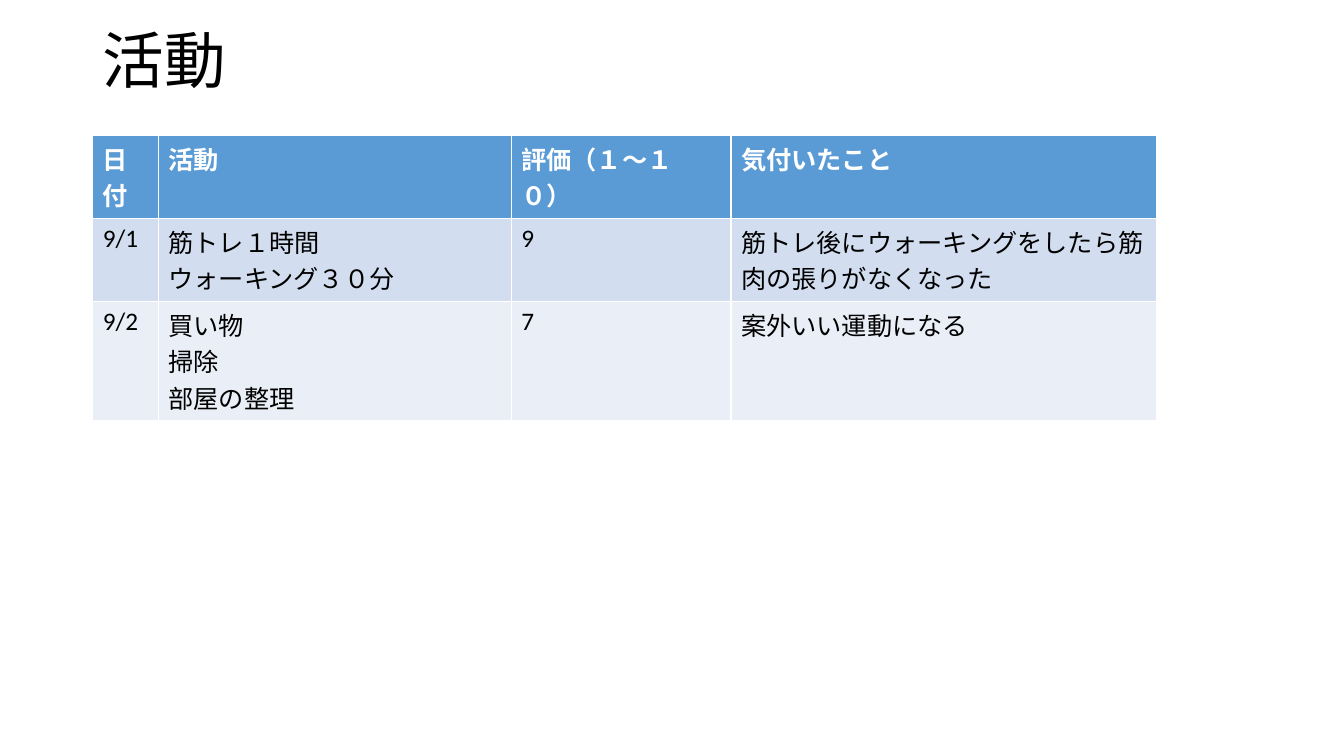
from dataclasses import dataclass

from pptx import Presentation
from pptx.dml.color import RGBColor
from pptx.enum.text import MSO_ANCHOR, MSO_AUTO_SIZE, PP_ALIGN
from pptx.slide import Slide
from pptx.table import _Cell
from pptx.text.text import _Paragraph
from pptx.util import Inches, Pt

COLORS = {
    "header": "5B9BD5",
    "odd_row": "D2DEEF",
    "even_row": "EAEFF7",
    "light_text": "FFFFFF",
    "dark_text": "000000",
}
COLUMN_WIDTHS = (0.65, 3.5, 2.18, 4.22)
LEFT = 0.92


@dataclass(frozen=True)
class ActivityRow:
    texts: tuple[str, ...]
    height: float
    fill: str
    text_color: str = "dark_text"
    bold: bool = False


ROWS = (
    ActivityRow(("日付", "活動", "評価（１～１０）", "気付いたこと"), 0.47, "header", "light_text", True),
    ActivityRow(
        ("9/1", "筋トレ１時間\nウォーキング３０分", "9", "筋トレ後にウォーキングをしたら筋肉の張りがなくなった"),
        0.42,
        "odd_row",
    ),
    ActivityRow(("9/2", "買い物\n掃除\n部屋の整理", "7", "案外いい運動になる"), 1, "even_row"),
)


def set_attributes(target: object, values: dict[str, object]) -> None:
    for name, value in values.items():
        setattr(target, name, value)


def format_paragraph(paragraph: _Paragraph, size: float, color: str, bold: bool) -> None:
    for run in paragraph.runs:
        set_attributes(run.font, {"name": "Calibri", "size": Pt(size), "bold": bold})
        run.font.color.rgb = RGBColor.from_string(COLORS[color])


def add_title(slide: Slide, text: str) -> None:
    title = slide.shapes.title
    set_attributes(title, {
        "left": Inches(LEFT),
        "top": Inches(0.15),
        "width": Inches(11.5),
        "height": Inches(0.97),
    })
    set_attributes(title.text_frame, {
        "text": text,
        "vertical_anchor": MSO_ANCHOR.MIDDLE,
        "auto_size": MSO_AUTO_SIZE.NONE,
        "word_wrap": True,
    })
    paragraph = title.text_frame.paragraphs[0]
    set_attributes(paragraph, {"alignment": PP_ALIGN.LEFT, "line_spacing": 0.9})
    format_paragraph(paragraph, 44, "dark_text", False)


def fill_cell(cell: _Cell, text: str, row: ActivityRow) -> None:
    cell.text = text
    cell.fill.solid()
    cell.fill.fore_color.rgb = RGBColor.from_string(COLORS[row.fill])
    for paragraph in cell.text_frame.paragraphs:
        format_paragraph(paragraph, 18, row.text_color, row.bold)


def add_activity_table(slide: Slide) -> None:
    table = slide.shapes.add_table(
        len(ROWS),
        len(COLUMN_WIDTHS),
        Inches(LEFT),
        Inches(1.34),
        Inches(sum(COLUMN_WIDTHS)),
        Inches(sum(row.height for row in ROWS)),
    ).table
    for column, width in zip(table.columns, COLUMN_WIDTHS):
        column.width = Inches(width)
    for table_row, row in zip(table.rows, ROWS):
        table_row.height = Inches(row.height)
        for cell, text in zip(table_row.cells, row.texts):
            fill_cell(cell, text, row)


def main() -> None:
    presentation = Presentation()
    set_attributes(presentation, {"slide_width": Inches(13.33), "slide_height": Inches(7.5)})
    slide = presentation.slides.add_slide(presentation.slide_layouts.get_by_name("Title Only"))
    add_title(slide, "活動")
    add_activity_table(slide)
    presentation.save("out.pptx")


if __name__ == "__main__":
    main()
